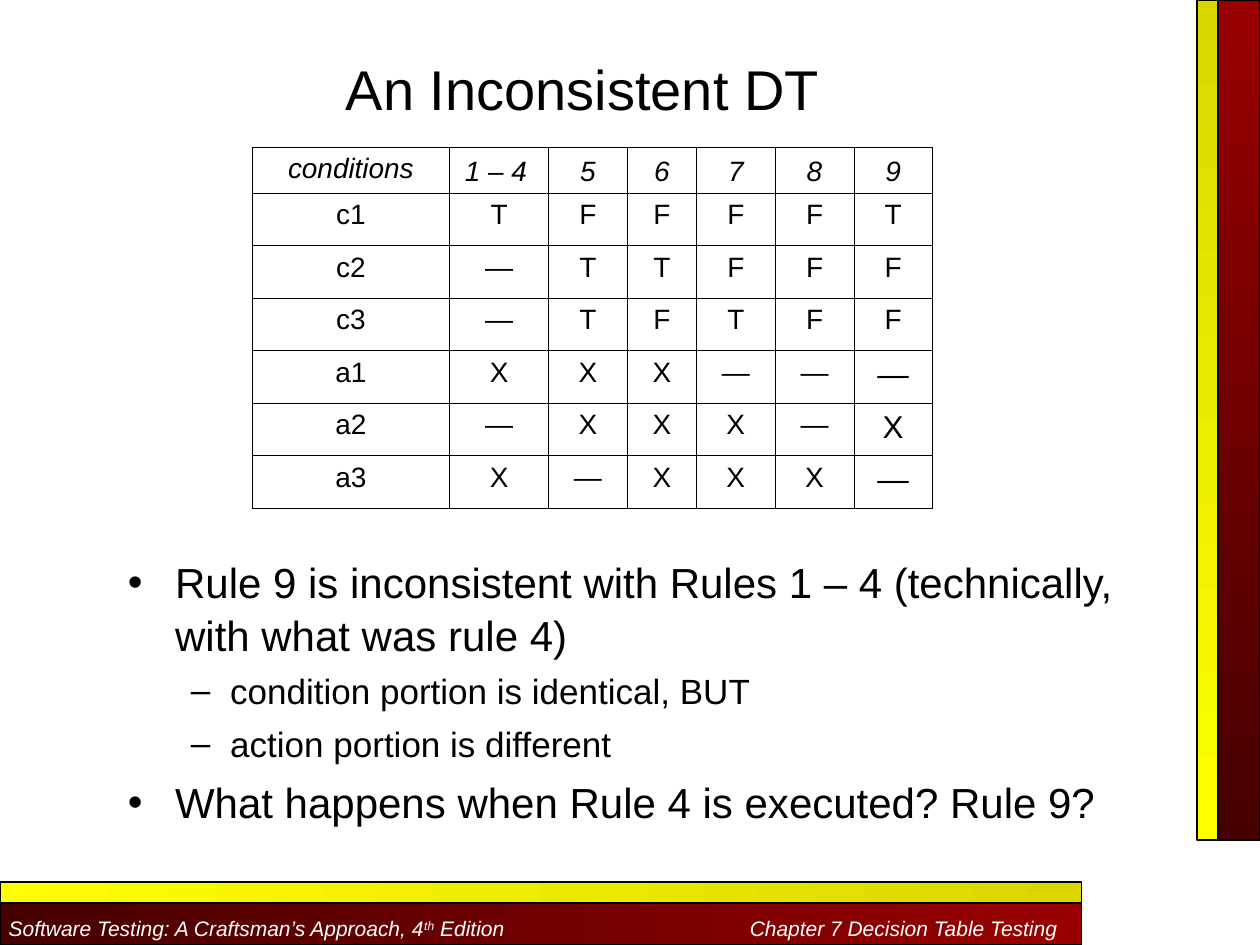
"""Build the decision table slide on an inconsistent rule."""
from lxml.etree import SubElement as Sub
from pptx import Presentation
from pptx.dml.color import RGBColor as RGB
from pptx.enum.shapes import MSO_SHAPE as Shape
from pptx.enum.text import MSO_ANCHOR as Anchor, PP_ALIGN as Align
from pptx.oxml import parse_xml
from pptx.oxml.ns import nsdecls, qn
from pptx.util import Pt

INK = {"black": "000000", "white": "FFFFFF", "red": "990000", "wine": "460000",
       "gold": "DBD600", "lemon": "FFFF00"}


def put(item, **vals):
    for key, val in vals.items():
        setattr(item, key, val)


def write(para, text, size, ink="black", **vals):
    run = para.add_run()
    run.text = text
    put(run.font, name="Arial", size=Pt(size), **vals)
    run.font.color.rgb = RGB.from_string(INK[ink])
    return run


deck = Presentation()
put(deck, slide_width=Pt(720), slide_height=Pt(540))
slide = deck.slides.add_slide(deck.slide_layouts[5])
shapes = slide.shapes

bars = [
    ((696, 0, 24, 480), "red", "wine", 270),
    ((0, 516, 618, 24), "wine", "red", 0),
    ((684, 0, 12, 480), "gold", "lemon", 270),
    ((0, 504, 618, 12), "lemon", "gold", 0),
]
drawn = []
for place, start, end, angle in bars:
    bar = shapes.add_shape(Shape.RECTANGLE, *map(Pt, place))
    bar.shadow.inherit = False
    bar.fill.gradient()
    bar.fill.gradient_angle = angle
    for stop, ink in zip(bar.fill.gradient_stops, (start, end)):
        stop.color.rgb = RGB.from_string(INK[ink])
    bar.line.color.rgb = RGB.from_string(INK["black"])
    bar.line.width = Pt(0.75)
    drawn.append(bar)

foot = drawn[1].text_frame
put(foot, word_wrap=False, vertical_anchor=Anchor.MIDDLE, margin_left=Pt(5),
    margin_right=0, margin_top=Pt(5), margin_bottom=0)
para = foot.paragraphs[0]
para.alignment = Align.LEFT
tabs = Sub(para._p.get_or_add_pPr(), qn("a:tabLst"))
Sub(tabs, qn("a:tab"), pos=str(Pt(423.5)), algn="l")
words = ["Software Testing: A Craftsman’s Approach, 4", "th",
         " Edition\tChapter 7 Decision Table Testing"]
for text in words:
    run = write(para, text, 12, "white", italic=True)
    if text == "th":
        run._r.get_or_add_rPr().set("baseline", "30000")

title = shapes.title
put(title, left=Pt(108), top=Pt(24), width=Pt(450), height=Pt(42))
title.fill.solid()
title.fill.fore_color.rgb = RGB.from_string(INK["white"])
put(title.text_frame, vertical_anchor=Anchor.TOP, margin_top=Pt(7), margin_bottom=0)
para = title.text_frame.paragraphs[0]
para.alignment = Align.CENTER
write(para, "An Inconsistent DT", 32)

body = shapes.add_textbox(Pt(66), Pt(312), Pt(582), Pt(162)).text_frame
put(body, word_wrap=True, margin_top=Pt(5))
levels = [
    {"mark": "•", "size": 24, "gap": 6, "left": 27, "hang": 27},
    {"mark": "–", "size": 20, "gap": 5, "left": 58.5, "hang": 22.5},
]
points = [
    (0, "Rule 9 is inconsistent with Rules 1 – 4 (technically, with what was rule 4)"),
    (1, "condition portion is identical, BUT"),
    (1, "action portion is different"),
    (0, "What happens when Rule 4 is executed? Rule 9?"),
]
for num, (depth, text) in enumerate(points):
    form = levels[depth]
    para = body.add_paragraph() if num else body.paragraphs[0]
    put(para, level=depth, line_spacing=1.04, space_before=Pt(form["gap"] if num else 0))
    props = para._p.get_or_add_pPr()
    props.set("marL", str(Pt(form["left"])))
    props.set("indent", str(-Pt(form["hang"])))
    Sub(props, qn("a:buFont"), typeface="Arial")
    Sub(props, qn("a:buChar"), char=form["mark"])
    write(para, text, form["size"])

rows = [
    ["conditions", "1 – 4", "5", "6", "7", "8", "9"],
    ["c1", *"TFFFFT"],
    ["c2", *"—TTFFF"],
    ["c3", *"—TFTFF"],
    ["a1", *"XXX———"],
    ["a2", *"—XXX—X"],
    ["a3", *"X—XXX—"],
]
wide = [113, 56.5, 45, 39.5, 45, 45, 45]
high = [26.5] + [30] * 6
table = shapes.add_table(7, 7, Pt(144), Pt(84), Pt(sum(wide)), Pt(sum(high))).table
put(table, first_row=False, horz_banding=False)
for col, size in zip(table.columns, wide):
    col.width = Pt(size)
for row, size in zip(table.rows, high):
    row.height = Pt(size)
for r, line in enumerate(rows):
    for c, text in enumerate(line):
        cell = table.cell(r, c)
        head = r == 0
        low = head and c > 0
        put(cell, vertical_anchor=Anchor.BOTTOM if low else Anchor.TOP)
        if text == "1 – 4":
            cell.margin_right = Pt(11)
        para = cell.text_frame.paragraphs[0]
        para.alignment = Align.CENTER
        write(para, text, 18 if r > 3 and c == 6 else 16, italic=head)
        props = cell._tc.get_or_add_tcPr()
        for side in "LRTB":
            props.append(parse_xml(
                f'<a:ln{side} {nsdecls("a")} w="{Pt(0.45)}"><a:solidFill>'
                f'<a:srgbClr val="{INK["black"]}"/></a:solidFill></a:ln{side}>'))
        cell.fill.background()

deck.save("out.pptx")
